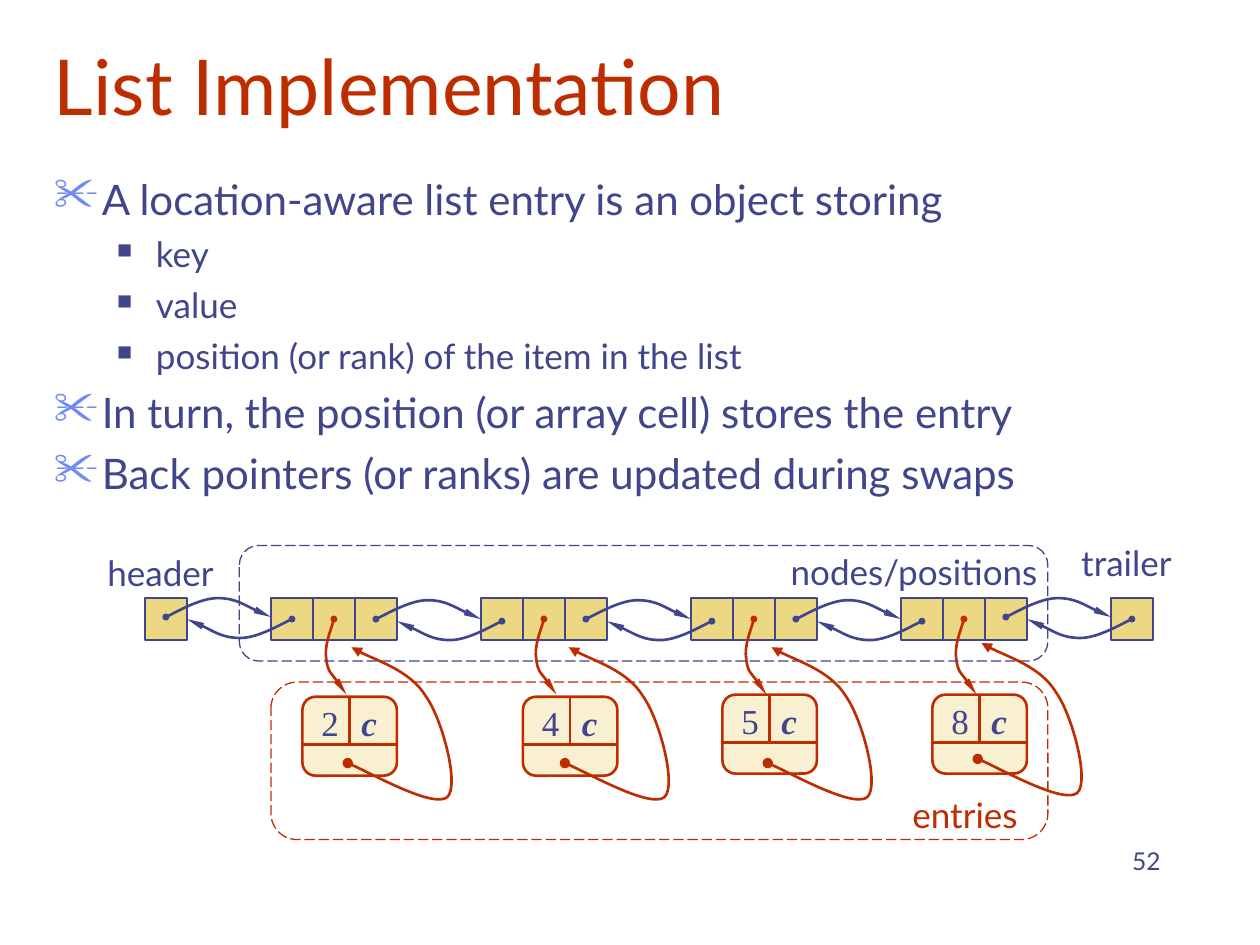
from lxml.etree import SubElement
from pptx import Presentation
from pptx.dml.color import RGBColor
from pptx.enum.dml import MSO_LINE_DASH_STYLE as Dash
from pptx.enum.shapes import MSO_CONNECTOR as Connector, MSO_SHAPE as Shape
from pptx.enum.text import MSO_ANCHOR as Anchor, PP_ALIGN as Align
from pptx.oxml.ns import qn
from pptx.util import Inches, Pt

INK, RED, BULLET = "40458C", "BE2D00", "6F89F7"
GOLD, CREAM = "ECD882", "F8F0D0"

NEXT_ARC = [(0.2, -0.09), (0.83, -0.45), (1.23, -0.45),
            (1.65, -0.45), (2.24, -0.09), (2.5, 0)]
PREV_ARC = [(-x, -y) for x, y in NEXT_ARC]
ENTRY_ARC = [(-0.03, 0.15), (-0.24, 0.66), (-0.18, 0.96),
             (-0.15, 1.26), (0.21, 1.62), (0.3, 1.8)]
BACK_ARC = [(0.39, 0.15), (2.04, 1.08), (2.37, 0.81), (2.67, 0.54), (2.25, -1.05),
            (1.86, -1.59), (1.5, -2.19), (0.45, -2.52), (0.09, -2.76)]

OUTLINE = [
    (0, "A location-aware list entry is an object storing"),
    (1, "key"),
    (1, "value"),
    (1, "position (or rank) of the item in the list"),
    (0, "In turn, the position (or array cell) stores the entry"),
    (0, "Back pointers (or ranks) are updated during swaps"),
]
ENTRIES = [
    ("2", 6.75, 16.35, 7.83, 17.93),
    ("4", 12, 16.35, 13, 17.93),
    ("5", 16.75, 16.3, 17.83, 17.93),
    ("8", 21.75, 16.3, 22.83, 17.83),
]


def color(code):
    """Turn a hex string into a colour."""
    return RGBColor.from_string(code)


def write(paragraph, text, size=20, ink=INK, font="Lato", bold=False, italic=False,
          align=Align.LEFT):
    """Add a formatted run to a paragraph."""
    paragraph.alignment = align
    run = paragraph.add_run()
    run.text = text
    run.font.size, run.font.name = Pt(size), font
    run.font.bold, run.font.italic = bold, italic
    run.font.color.rgb = color(ink)


class Diagram:
    """Draw on one slide over a grid of node cells, a third of an inch each."""

    cell, left, top = 1 / 3, 0.15, 0.08

    def __init__(self, slide):
        self.shapes = slide.shapes

    def x(self, col):
        """Give the position of a column."""
        return Inches(self.left + col * self.cell)

    def y(self, row):
        """Give the position of a row."""
        return Inches(self.top + row * self.cell)

    def span(self, cells):
        """Give the length of a number of cells."""
        return Inches(cells * self.cell)

    def stroke(self, shape, ink, width=1.5, dash=None):
        """Set the outline and return its element."""
        shape.line.color.rgb = color(ink)
        shape.line.width = Pt(width)
        if dash:
            shape.line.dash_style = dash
        return shape._element.spPr.find(qn("a:ln"))

    def box(self, col, row, cols, rows, ink=INK, fill=None, rounded=False, **line):
        """Draw a square or rounded box."""
        kind = Shape.ROUNDED_RECTANGLE if rounded else Shape.RECTANGLE
        shape = self.shapes.add_shape(kind, self.x(col), self.y(row),
                                      self.span(cols), self.span(rows))
        shape.shadow.inherit = False
        if fill:
            shape.fill.solid()
            shape.fill.fore_color.rgb = color(fill)
        else:
            shape.fill.background()
        self.stroke(shape, ink, **line)

    def panel(self, col, row, cols, rows, ink):
        """Draw a dashed frame."""
        self.box(col, row, cols, rows, ink, rounded=True, width=0.75,
                 dash=Dash.LONG_DASH)

    def rule(self, col, row, end_col, end_row, ink):
        """Draw a straight line."""
        line = self.shapes.add_connector(Connector.STRAIGHT, self.x(col), self.y(row),
                                         self.x(end_col), self.y(end_row))
        self.stroke(line, ink)
        SubElement(line._element.spPr, qn("a:effectLst"))

    def pointer(self, col, row, arc, ink=INK, head=("sm", "lg"), dot="sm"):
        """Draw a curved arrow with a dot at its start."""
        points = [(self.x(col + dx), self.y(row + dy)) for dx, dy in arc]
        builder = self.shapes.build_freeform(self.x(col), self.y(row))
        builder.add_line_segments(points, close=False)
        shape = builder.convert_to_shape()
        shape.shadow.inherit = False
        shape.fill.background()
        outline = next(shape._element.spPr.iter(qn("a:path")))
        steps = outline.findall(qn("a:lnTo"))
        for start in range(0, len(steps), 3):
            curve = SubElement(outline, qn("a:cubicBezTo"))
            for step in steps[start:start + 3]:
                curve.append(step[0])
                outline.remove(step)
        line = self.stroke(shape, ink)
        SubElement(line, qn("a:headEnd"), type="oval", w=dot, len=dot)
        SubElement(line, qn("a:tailEnd"), type="triangle", w=head[0], len=head[1])

    def frame(self, col, row, cols, rows, anchor=Anchor.TOP, wrap=True):
        """Add an empty text frame."""
        area = self.shapes.add_textbox(self.x(col), self.y(row),
                                       self.span(cols), self.span(rows)).text_frame
        area.word_wrap, area.vertical_anchor = wrap, anchor
        return area

    def label(self, col, row, cols, text, **style):
        """Add a one-line centred label."""
        area = self.frame(col, row, cols, 1.32, wrap=False)
        write(area.paragraphs[0], text, align=Align.CENTER, **style)

    def outline(self, col, row, cols, rows, items):
        """Add a two-level bulleted list."""
        levels = [(24, 6, 0.38, 0.38, "✂", BULLET, 110), (20, 5, 0.81, 0.31, "■", INK, 60)]
        area = self.frame(col, row, cols, rows)
        for index, (level, text) in enumerate(items):
            size, before, margin, hang, mark, ink, scale = levels[level]
            paragraph = area.add_paragraph() if index else area.paragraphs[0]
            paragraph.level = level
            paragraph.space_before = Pt(before)
            write(paragraph, text, size=size)
            props = paragraph._p.get_or_add_pPr()
            props.set("marL", str(Inches(margin)))
            props.set("indent", str(-Inches(hang)))
            SubElement(SubElement(props, qn("a:buClr")), qn("a:srgbClr"), val=ink)
            SubElement(props, qn("a:buSzPct"), val=str(scale * 1000))
            SubElement(props, qn("a:buChar"), char=mark)

    def entry(self, key, col, row):
        """Draw an entry with its key, value and position fields."""
        self.box(col, row, 2.25, 1.88, RED, CREAM, rounded=True)
        self.rule(col, row + 1.14, col + 2.25, row + 1.14, RED)
        self.rule(col + 1.12, row, col + 1.12, row + 1.14, RED)
        self.label(col + 0.15, row - 0.04, 1.02, key, font="Times New Roman")
        self.label(col + 1.11, row - 0.04, 0.96, "c", font="Times New Roman",
                   bold=True, italic=True)


def main():
    """Build the slide and save it."""
    deck = Presentation()
    deck.slide_width, deck.slide_height = Inches(10), Inches(7.5)
    diagram = Diagram(deck.slides.add_slide(deck.slide_layouts[6]))

    title = diagram.frame(0.54, 0.27, 28.5, 2.76, Anchor.BOTTOM)
    write(title.paragraphs[0], "List Implementation", size=44, ink=RED)
    diagram.outline(0.54, 3.75, 28.5, 15.75, OUTLINE)
    number = diagram.frame(21.24, 19.26, 6.24, 1.5, Anchor.BOTTOM)
    write(number.paragraphs[0], "52", size=14, align=Align.RIGHT)

    nodes = range(6, 22, 5)
    for col in [3, 26] + [node + part for node in nodes for part in range(3)]:
        diagram.box(col, 14, 1, 1, fill=GOLD)
    for link in range(5):
        lift = 0.05 if link in (0, 4) else 0
        diagram.pointer(3.5 + 5 * link, 14.5 - lift, NEXT_ARC)
        diagram.pointer(6.5 + 5 * link, 14.55 - lift, PREV_ARC)
    for node in nodes:
        diagram.pointer(node + 1.5, 14.5, ENTRY_ARC, RED)

    diagram.label(24.9, 12.5, 2.94, "trailer")
    diagram.label(1.68, 12.75, 3.39, "header")
    diagram.panel(5.25, 12.75, 19.25, 2.75, INK)
    diagram.label(17.88, 12.72, 6.87, "nodes/positions")
    diagram.panel(6, 16, 18.5, 3.75, RED)
    diagram.label(20.88, 18.5, 3.3, "entries", ink=RED)

    for key, col, row, back_col, back_row in ENTRIES:
        diagram.entry(key, col, row)
        diagram.pointer(back_col, back_row, BACK_ARC, RED, head=("med", "med"), dot="med")
    deck.save("out.pptx")


if __name__ == "__main__":
    main()
